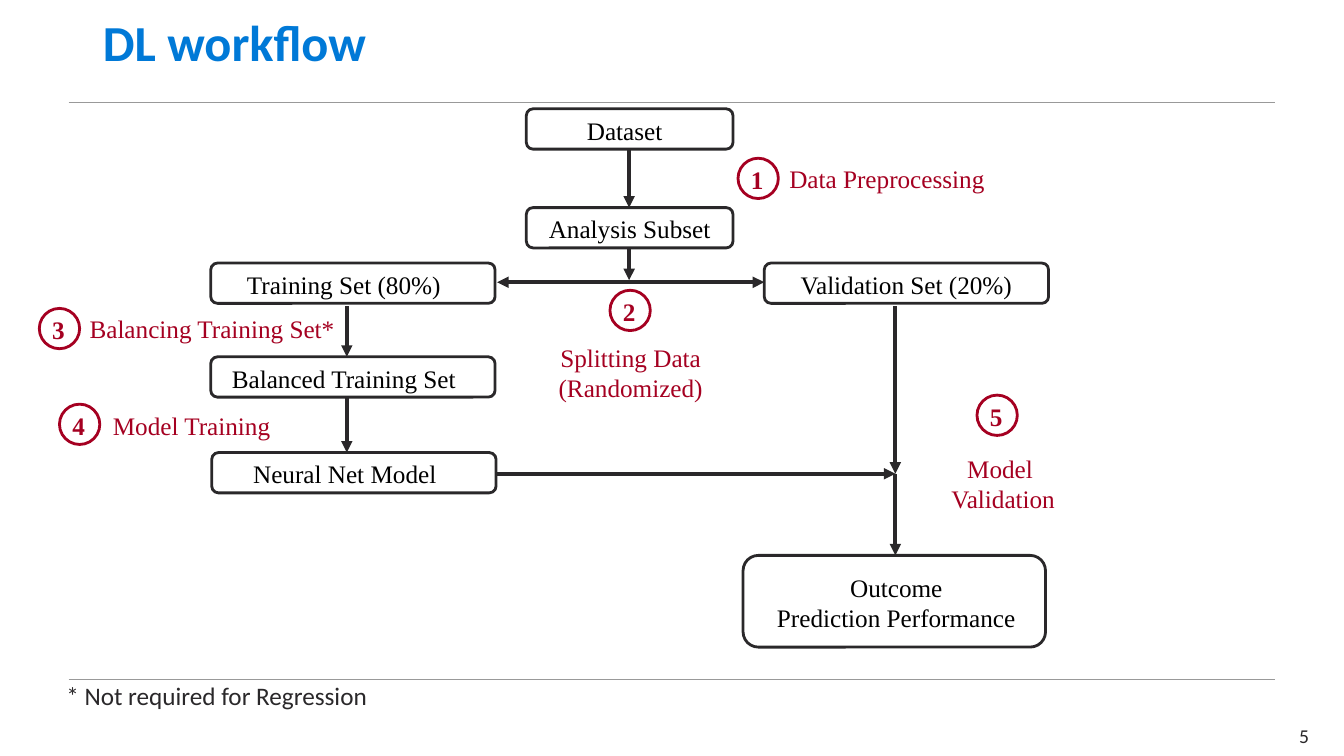
import pptx
import pptx.util
import pptx.dml.color
import pptx.enum.shapes
import pptx.enum.text
import pptx.oxml.ns
import lxml.etree
from collections import namedtuple
from dataclasses import dataclass

PX = 9144  # one px is a hundredth of an inch
Box = namedtuple("Box", "x y w h")
SHAPE = pptx.enum.shapes.MSO_SHAPE
ALIGN = pptx.enum.text.PP_ALIGN
ANCHOR = pptx.enum.text.MSO_ANCHOR
qn = pptx.oxml.ns.qn


@dataclass(frozen=True)
class Theme:
    title: str = "0079D7"
    ink: str = "2A282A"
    label: str = "000000"
    step: str = "A50021"
    rule: str = "999999"
    sans: str = "Calibri"
    serif: str = "Times New Roman"
    title_size: int = 36
    text_size: int = 18
    number_size: int = 14
    outline: float = 2
    arrow: float = 2.75
    hairline: float = 0.5


T = Theme()


def px(*lengths):
    return [pptx.util.Emu(n * PX) for n in lengths]


def rgb(color):
    return pptx.dml.color.RGBColor.from_string(color)


def inside(box, x, y, w, h):
    return Box(box.x + x, box.y + y, w, h)


def write(tf, text, color, font=T.serif, size=T.text_size, bold=False, align=ALIGN.CENTER):
    for i, line in enumerate(text.split("\n")):
        p = tf.paragraphs[0] if i == 0 else tf.add_paragraph()
        p.text = line
        p.alignment = align
        p.font.name, p.font.size, p.font.bold = font, pptx.util.Pt(size), bold
        p.font.color.rgb = rgb(color)


def add_text(s, box, text, color, **style):
    tf = s.shapes.add_textbox(*px(*box)).text_frame
    tf.word_wrap = False
    tf.vertical_anchor = ANCHOR.MIDDLE
    write(tf, text, color, **style)


def add_outlined(s, kind, box, text, line, color, shift=0, bold=False):
    """Outlined shape whose centred text is moved sideways by shift px."""
    sp = s.shapes.add_shape(kind, *px(*box))
    sp.shadow.inherit = False
    sp.fill.background()
    sp.line.color.rgb = rgb(line)
    sp.line.width = pptx.util.Pt(T.outline)
    tf = sp.text_frame
    tf.word_wrap = False
    tf.vertical_anchor = ANCHOR.MIDDLE
    tf.margin_left, tf.margin_right, tf.margin_top, tf.margin_bottom = px(
        max(0, 2 * shift), max(0, -2 * shift), 2, 0)
    write(tf, text, color, bold=bold)


def add_line(s, x1, y1, x2, y2, color, width, ends=()):
    c = s.shapes.add_connector(pptx.enum.shapes.MSO_CONNECTOR.STRAIGHT, *px(x1, y1, x2, y2))
    c.line.color.rgb = rgb(color)
    c.line.width = pptx.util.Pt(width)
    props = c._element.find(qn("p:spPr"))
    for end in ends:
        lxml.etree.SubElement(props.find(qn("a:ln")), qn(f"a:{end}"), type="triangle")
    lxml.etree.SubElement(props, qn("a:effectLst"))


def add_header(s, box):
    sp = s.shapes.title
    sp.left, sp.top, sp.width, sp.height = px(*inside(box, 24, 0, 941, 86))
    sp.text_frame.vertical_anchor = ANCHOR.TOP
    write(sp.text_frame, "DL workflow", T.title, T.sans, T.title_size, True, ALIGN.LEFT)
    bottom = box.y + box.h
    add_line(s, box.x, bottom, box.x + box.w, bottom, T.rule, T.hairline)


def add_footer(s, box):
    add_line(s, box.x, box.y, box.x + box.w, box.y, T.rule, T.hairline)
    add_text(s, inside(box, -12, -4, 328, 40), "* Not required for Regression",
             T.ink, font=T.sans, align=ALIGN.LEFT)
    add_text(s, inside(box, 1185, 36, 81, 40), "5", T.ink, font=T.sans, size=T.number_size)


def add_nodes(s, box):
    nodes = [  # label, place, sideways shift of the label
        ("Dataset", (483, 0, 205, 40), -5),
        ("Analysis Subset", (483, 98, 205, 40), 0),
        ("Training Set (80%)", (170, 153, 282, 40), -9),
        ("Validation Set (20%)", (719, 153, 282, 40), 0),
        ("Balanced Training Set", (170, 246, 282, 40), -9),
        ("Neural Net Model", (171, 341, 282, 40), -9),
        ("Outcome\nPrediction Performance", (698, 443, 300, 91), 2),
    ]
    for label, place, shift in nodes:
        add_outlined(s, SHAPE.ROUNDED_RECTANGLE, inside(box, *place), label,
                     T.ink, T.label, shift)


def add_arrows(s, box):
    train, stem, valid = 305, 585, 849  # x of the three vertical paths
    split, merge = 172, 362             # y of the two horizontal paths
    arrows = [
        (stem, 41, stem, 98), (stem, 139, stem, split - 2),
        (train, 196, train, 246), (train, 287, train, 341),
        (valid, 196, valid, merge), (valid, merge, valid, 443),
        (453, merge, valid, merge),
    ]
    for x1, y1, x2, y2 in arrows:
        add_line(s, box.x + x1, box.y + y1, box.x + x2, box.y + y2,
                 T.ink, T.arrow, ["tailEnd"])
    add_line(s, box.x + 454, box.y + split, box.x + 719, box.y + split,
             T.ink, T.arrow, ["headEnd", "tailEnd"])


def add_steps(s, box):
    steps = [  # circle corner, label place, label, alignment
        ((693, 49), (734, 49, 222, 40), "Data Preprocessing", ALIGN.LEFT),
        ((566, 180), (504, 226, 165, 71), "Splitting Data\n(Randomized)", ALIGN.CENTER),
        ((0, 198), (40, 198, 266, 40), "Balancing Training Set*", ALIGN.LEFT),
        ((20, 293), (63, 294, 178, 40), "Model Training", ALIGN.LEFT),
        ((930, 284), (894, 336, 124, 71), "Model \nValidation", ALIGN.CENTER),
    ]
    for number, (corner, place, label, align) in enumerate(steps, 1):
        add_outlined(s, SHAPE.OVAL, inside(box, *corner, 40, 40), str(number),
                     T.step, T.step, shift=-1, bold=True)
        add_text(s, inside(box, *place), label, T.step, align=align)


def main():
    prs = pptx.Presentation()
    prs.slide_width, prs.slide_height = px(1333, 750)
    s = prs.slides.add_slide(prs.slide_layouts[5])  # title only
    add_header(s, Box(68, 6, 1197, 96))
    diagram = Box(39, 108, 1018, 534)
    add_arrows(s, diagram)
    add_nodes(s, diagram)
    add_steps(s, diagram)
    add_footer(s, Box(68, 674, 1197, 76))
    prs.save("out.pptx")


if __name__ == "__main__":
    main()
